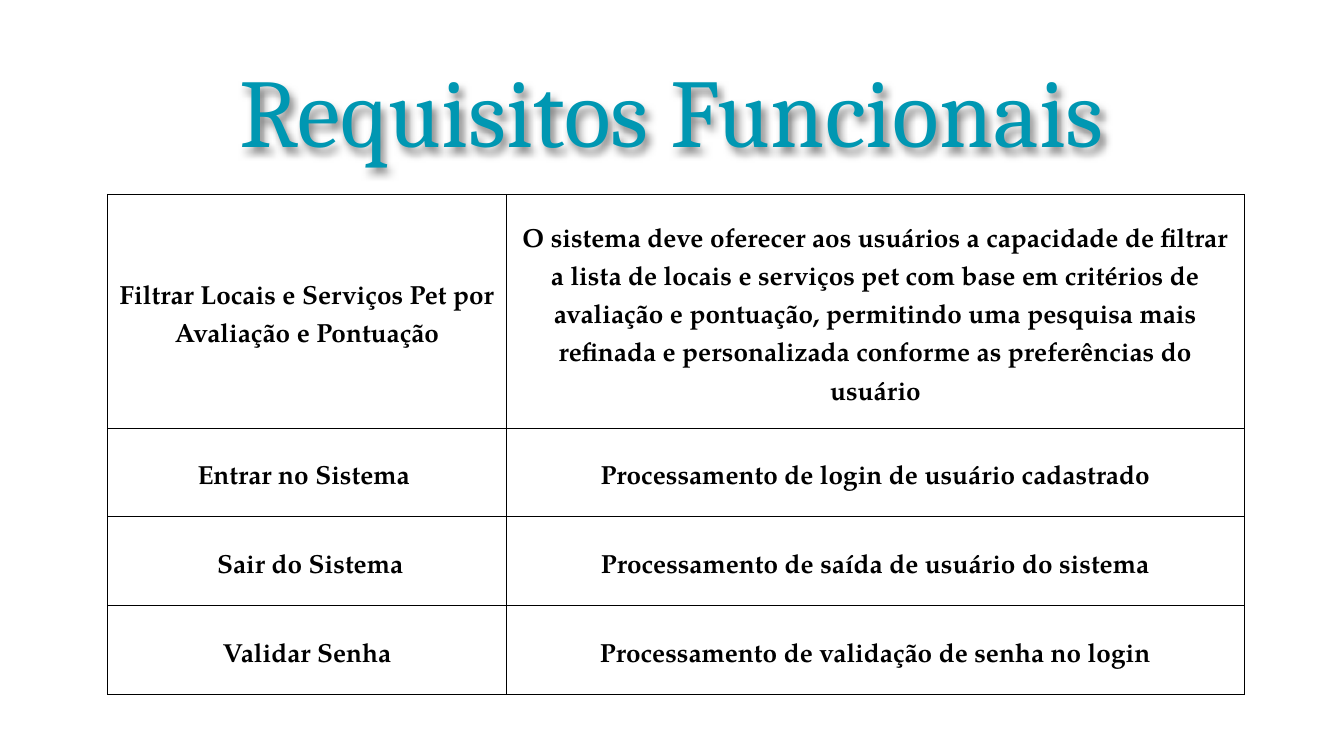
"""Build the functional requirements slide."""
from dataclasses import dataclass

from lxml.etree import SubElement
from pptx import Presentation
from pptx.dml.color import RGBColor
from pptx.enum.text import MSO_ANCHOR, MSO_AUTO_SIZE, PP_ALIGN
from pptx.oxml.ns import qn
from pptx.slide import Slide
from pptx.table import _Cell
from pptx.util import Inches, Pt


@dataclass(frozen=True)
class Theme:
    """Colours, fonts and type sizes of the slide."""
    accent: str = "0097B2"
    ink: str = "000000"
    paper: str = "FFFFFF"
    title_font: str = "Cambria"
    body_font: str = "TeX Gyre Pagella"
    title_size: int = 52
    body_size: int = 14
    paragraph_gap: int = 10
    line_spacing: float = 1.5
    border: float = 0.5


@dataclass(frozen=True)
class Requirement:
    """One table row: a feature, its description and the row height."""
    feature: str
    description: str
    height: float = 0.66


THEME = Theme()
WIDTH = Inches(10)
HEIGHT = WIDTH * 9 // 16
COLUMNS = (2.97, 5.49)
REQUIREMENTS = (
    Requirement(
        "Filtrar Locais e Serviços Pet por Avaliação e Pontuação",
        "O sistema deve oferecer aos usuários a capacidade de filtrar a lista "
        "de locais e serviços pet com base em critérios de avaliação e "
        "pontuação, permitindo uma pesquisa mais refinada e personalizada "
        "conforme as preferências do usuário",
        1.74,
    ),
    Requirement("Entrar no Sistema ", "Processamento de login de usuário cadastrado"),
    Requirement(" Sair do Sistema", "Processamento de saída de usuário do sistema"),
    Requirement("Validar Senha", "Processamento de validação de senha no login"),
)


def add_heading(slide: Slide, wording: str) -> None:
    """Place the title with its soft shadow."""
    heading = slide.shapes.title
    heading.left, heading.top = int(WIDTH * 0.034), int(HEIGHT * 0.038)
    heading.width, heading.height = int(WIDTH * 0.932), int(HEIGHT * 0.2)
    frame = heading.text_frame
    frame.text = wording
    frame.auto_size = MSO_AUTO_SIZE.NONE
    frame.vertical_anchor = MSO_ANCHOR.BOTTOM
    frame.margin_left = frame.margin_right = Inches(0.1)
    frame.margin_top = frame.margin_bottom = Inches(0.1)
    paragraph = frame.paragraphs[0]
    paragraph.alignment = PP_ALIGN.CENTER
    font = paragraph.runs[0].font
    font.name, font.size = THEME.title_font, Pt(THEME.title_size)
    font.color.rgb = RGBColor.from_string(THEME.accent)
    effects = SubElement(heading._element.spPr, qn("a:effectLst"))
    shadow = SubElement(effects, qn("a:outerShdw"), blurRad=str(Pt(4)),
                        dist=str(Pt(3)), dir="4200000", algn="bl", rotWithShape="0")
    tone = SubElement(shadow, qn("a:srgbClr"), val=THEME.ink)
    SubElement(tone, qn("a:alpha"), val="50000")


def add_borders(cell: _Cell) -> None:
    """Rule all four sides of a cell."""
    properties = cell._tc.get_or_add_tcPr()
    for side in ("lnL", "lnR", "lnT", "lnB"):
        line = SubElement(properties, qn(f"a:{side}"), w=str(Pt(THEME.border)))
        fill = SubElement(line, qn("a:solidFill"))
        SubElement(fill, qn("a:srgbClr"), val=THEME.ink)


def fill_cell(cell: _Cell, wording: str) -> None:
    """Write and format one table cell."""
    add_borders(cell)
    cell.fill.solid()
    cell.fill.fore_color.rgb = RGBColor.from_string(THEME.paper)
    cell.vertical_anchor = MSO_ANCHOR.MIDDLE
    cell.margin_left = cell.margin_right = Inches(0.05)
    cell.margin_top = cell.margin_bottom = 0
    cell.text_frame.text = wording
    paragraph = cell.text_frame.paragraphs[0]
    paragraph.alignment = PP_ALIGN.CENTER
    paragraph.line_spacing = THEME.line_spacing
    paragraph.space_before = paragraph.space_after = Pt(THEME.paragraph_gap)
    font = paragraph.runs[0].font
    font.name, font.size, font.bold = THEME.body_font, Pt(THEME.body_size), True
    font.color.rgb = RGBColor.from_string(THEME.ink)


def add_requirements(slide: Slide, requirements: tuple[Requirement, ...]) -> None:
    """Draw the requirements table."""
    total_height = sum(requirement.height for requirement in requirements)
    grid = slide.shapes.add_table(
        len(requirements), len(COLUMNS), int(WIDTH * 0.08), int(HEIGHT * 0.257),
        Inches(sum(COLUMNS)), Inches(total_height)).table
    grid.first_row = grid.horz_banding = False
    for column, width in zip(grid.columns, COLUMNS):
        column.width = Inches(width)
    for row, requirement in zip(grid.rows, requirements):
        row.height = Inches(requirement.height)
        for cell, wording in zip(row.cells, (requirement.feature, requirement.description)):
            fill_cell(cell, wording)


def main() -> None:
    """Create and save the presentation."""
    presentation = Presentation()
    presentation.slide_width, presentation.slide_height = WIDTH, HEIGHT
    slide = presentation.slides.add_slide(presentation.slide_layouts[5])
    add_heading(slide, "Requisitos Funcionais")
    add_requirements(slide, REQUIREMENTS)
    presentation.save("out.pptx")


if __name__ == "__main__":
    main()
